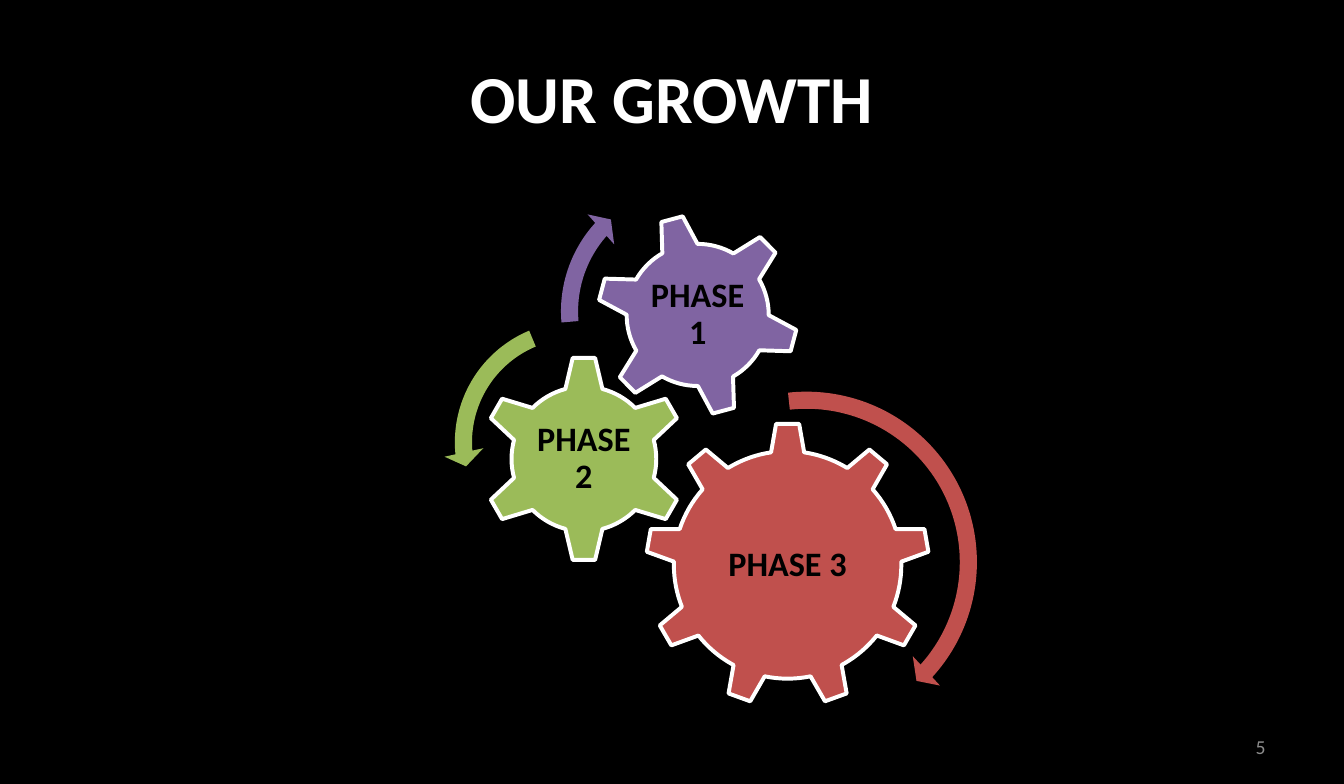
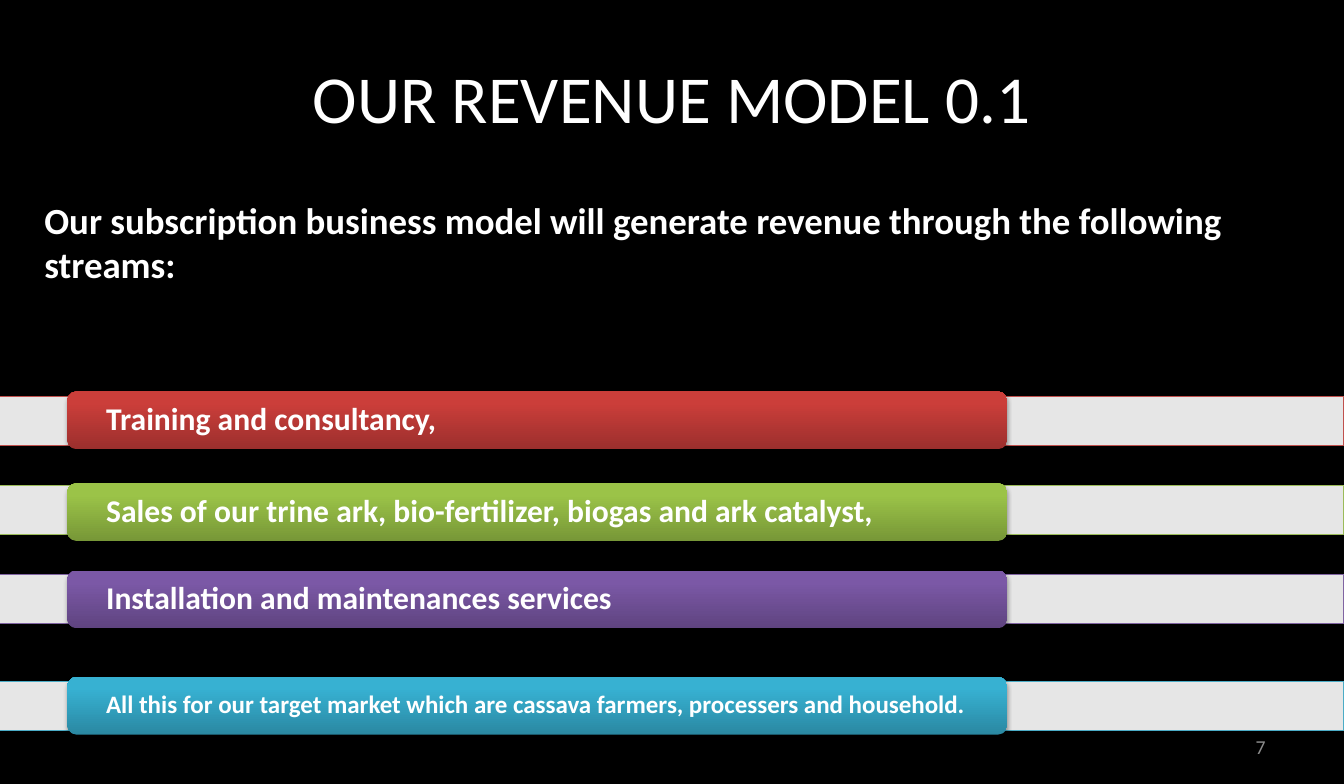
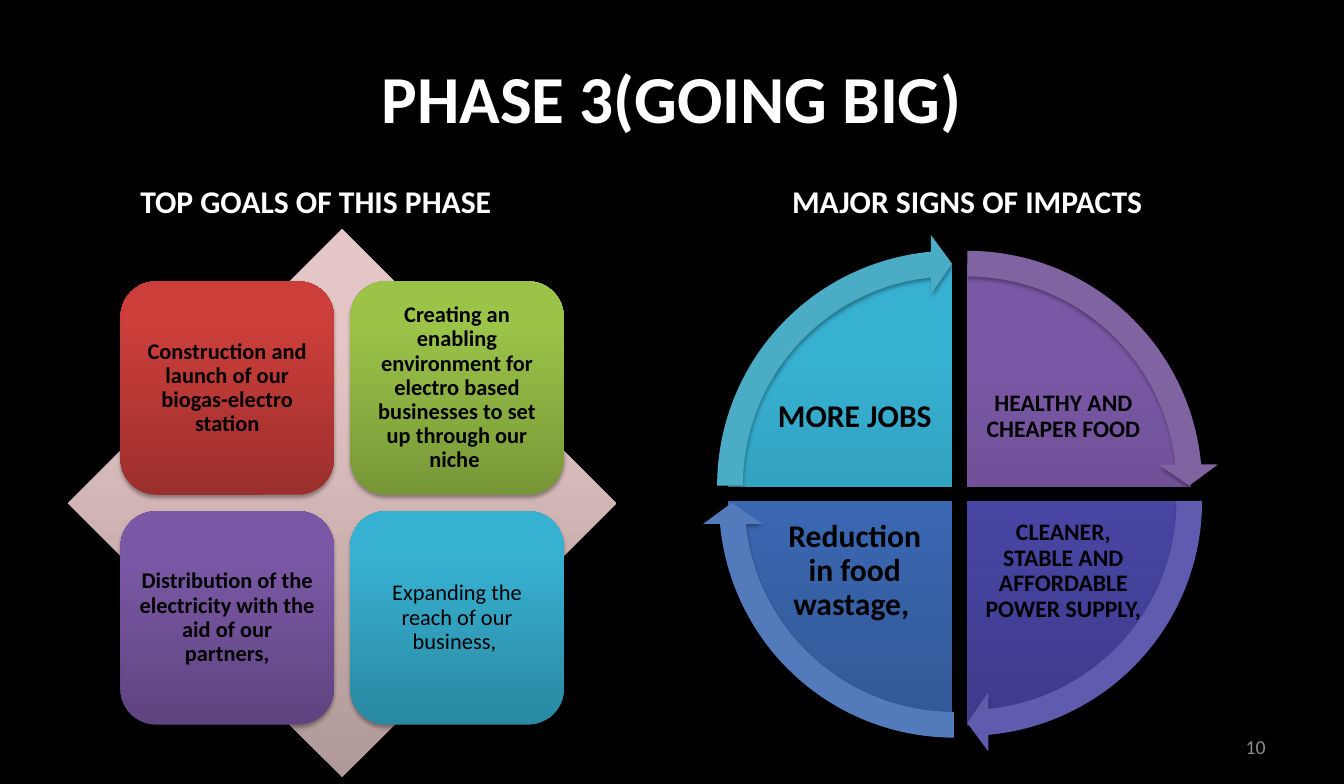
from dataclasses import dataclass

from lxml import etree
from pptx import Presentation
from pptx.dml.color import RGBColor
from pptx.enum import shapes, text
from pptx.oxml.ns import qn
from pptx.util import Cm, Pt

Shape = shapes.MSO_SHAPE
Align = text.PP_ALIGN
Anchor = text.MSO_ANCHOR


@dataclass(frozen=True)
class Theme:
    font: str = "Calibri"
    black: str = "000000"
    white: str = "FFFFFF"
    grey: str = "8C8C8C"
    red: str = "C0504D"
    green: str = "9BBB59"
    purple: str = "8064A2"
    teal: str = "4BACC6"
    indigo: str = "5F5BAE"
    blue: str = "537ABA"
    red_fade: tuple = ("9C2F2D", "CB3E3A")
    green_fade: tuple = ("779737", "9BC348")
    purple_fade: tuple = ("5F4480", "7B58A6")
    teal_fade: tuple = ("2A88A2", "37B1D2")
    indigo_fade: tuple = ("3E3B8B", "504CB5")
    blue_fade: tuple = ("325897", "4172C4")
    rose_fade: tuple = ("B09998", "E5C6C6")
    title: int = 51
    lead: int = 28
    phase: int = 26
    heading: int = 24
    note: int = 19
    impact: int = 18
    goal: int = 17
    page: int = 15


theme = Theme()


def paint(shape, fill, line=None, line_width=0.75, shadow=35):
    if isinstance(fill, tuple):
        shape.fill.gradient()
        shape.fill.gradient_angle = 90
        for stop, color, position in zip(shape.fill.gradient_stops, fill, (0, 0.8)):
            stop.color.rgb = RGBColor.from_string(color)
            stop.position = position
    else:
        shape.fill.solid()
        shape.fill.fore_color.rgb = RGBColor.from_string(fill)
    if line:
        shape.line.color.rgb = RGBColor.from_string(line)
        shape.line.width = Pt(line_width)
    else:
        shape.line.fill.background()
    shape.shadow.inherit = False
    if shadow:
        effects = shape.element.spPr.find(qn("a:effectLst"))
        outer = etree.SubElement(effects, qn("a:outerShdw"), blurRad=str(Pt(3.1)),
                                 dist=str(Pt(1.8)), dir="5400000", rotWithShape="0")
        shade = etree.SubElement(outer, qn("a:srgbClr"), val=theme.black)
        etree.SubElement(shade, qn("a:alpha"), val=str(shadow * 1000))


def write(shape, words, size, color, bold=True, align=Align.CENTER,
          anchor=Anchor.MIDDLE, inset=(0.3, 0.15), spacing=None):
    frame = shape.text_frame
    frame.text = words
    frame.word_wrap = True
    frame.auto_size = text.MSO_AUTO_SIZE.NONE
    frame.vertical_anchor = anchor
    frame.margin_left = frame.margin_right = Cm(inset[0])
    frame.margin_top = frame.margin_bottom = Cm(inset[1])
    paragraph = frame.paragraphs[0]
    paragraph.alignment = align
    paragraph.line_spacing = spacing
    font = paragraph.runs[0].font
    font.name = theme.font
    font.size = Pt(size)
    font.bold = bold
    font.color.rgb = RGBColor.from_string(color)


prs = Presentation()
prs.slide_width = Cm(36.02)
prs.slide_height = Cm(21.01)
backdrop = prs.slide_master.background.fill
backdrop.solid()
backdrop.fore_color.rgb = RGBColor.from_string(theme.black)

slides = []
for heading, bold, number in (
    ("OUR GROWTH", True, "5"),
    ("OUR REVENUE MODEL 0.1", False, "7"),
    ("PHASE 3(GOING BIG)", True, "10"),
):
    slide = prs.slides.add_slide(prs.slide_layouts[5])
    title = slide.shapes.title
    title.left, title.top, title.width, title.height = Cm(1.8), Cm(0.84), Cm(32.41), Cm(3.51)
    write(title, heading, theme.title, theme.white, bold)
    page = slide.shapes.add_textbox(Cm(25.81), Cm(19.46), Cm(8.41), Cm(1.12))
    write(page, number, theme.page, theme.grey, False, Align.RIGHT)
    slides.append(slide)
growth, revenue, going_big = slides

for phase, kind, left, top, size, label_size, turn, color in (
    ("PHASE 3", Shape.GEAR_9, 17.3, 11.33, 7.62, 4.55, 0, theme.red),
    ("PHASE 2", Shape.GEAR_6, 12.88, 9.53, 5.54, 2.74, 0, theme.green),
    ("PHASE 1", Shape.GEAR_6, 15.98, 5.72, 5.44, 3.05, 345, theme.purple),
):
    gear = growth.shapes.add_shape(kind, Cm(left), Cm(top), Cm(size), Cm(size))
    gear.rotation = turn
    paint(gear, color, theme.white, 3, 38)
    margin = (size - label_size) / 2
    label = growth.shapes.add_textbox(Cm(left + margin), Cm(top + margin),
                                      Cm(label_size), Cm(label_size))
    write(label, phase, theme.phase, theme.black, inset=(0.09, 0.09), spacing=0.9)

for kind, left, top, size, bends, color in (
    (Shape.CIRCULAR_ARROW, 16.74, 10.19, 9.75,
     (0.047, 2.99, 25.324, 158.268, 0.055), theme.red),
    (Shape.LEFT_CIRCULAR_ARROW, 11.89, 8.31, 7.09,
     (0.065, 4.3, 104.891, 148.378, 0.075), theme.green),
    (Shape.CIRCULAR_ARROW, 14.73, 4.52, 7.65,
     (0.06, 3.941, 133.138, 105.082, 0.07), theme.purple),
):
    rotation = growth.shapes.add_shape(kind, Cm(left), Cm(top), Cm(size), Cm(size))
    for index, bend in enumerate(bends):
        rotation.adjustments[index] = bend
    paint(rotation, color, shadow=38)

lead = revenue.shapes.add_textbox(Cm(0.94), Cm(5.16), Cm(34.47), Cm(2.64))
write(lead, "Our subscription business model will generate revenue through the following streams:",
      theme.lead, theme.white, align=Align.LEFT, anchor=Anchor.TOP, inset=(0.25, 0.13))

for stream, band_top, bar_top, size, color, fade in (
    ("Training and consultancy,", 10.62, 10.49, theme.heading, theme.red, theme.red_fade),
    ("Sales of our trine ark, bio-fertilizer, biogas and ark catalyst,",
     13, 12.95, theme.heading, theme.green, theme.green_fade),
    ("Installation and maintenances services",
     15.39, 15.29, theme.heading, theme.purple, theme.purple_fade),
    ("All this for our target market which are cassava farmers, processers and household.",
     18.26, 18.14, theme.note, theme.teal, theme.teal_fade),
):
    band = revenue.shapes.add_shape(Shape.RECTANGLE, 0, Cm(band_top), prs.slide_width, Cm(1.32))
    paint(band, theme.white, color)
    tint = band.element.spPr.find(qn("a:solidFill")).find(qn("a:srgbClr"))
    etree.SubElement(tint, qn("a:alpha"), val="90000")
    bar = revenue.shapes.add_shape(Shape.ROUNDED_RECTANGLE, Cm(1.8), Cm(bar_top),
                                   Cm(25.2), Cm(1.55))
    paint(bar, fade)
    write(bar, stream, size, theme.white, align=Align.LEFT, inset=(0.97, 0), spacing=0.9)

diamond = going_big.shapes.add_shape(Shape.DIAMOND, Cm(1.83), Cm(6.15), Cm(14.68), Cm(14.68))
paint(diamond, theme.rose_fade, shadow=0)

for index, (goal, bold, fade) in enumerate((
    ("Construction and launch of our biogas-electro station", True, theme.red_fade),
    ("Creating an enabling environment for electro based businesses to set up through our niche ",
     True, theme.green_fade),
    ("Distribution of the electricity with the aid of our partners,", True, theme.purple_fade),
    ("Expanding the reach of our business, ", False, theme.teal_fade),
)):
    row, column = divmod(index, 2)
    tile = going_big.shapes.add_shape(Shape.ROUNDED_RECTANGLE, Cm(3.23 + 6.16 * column),
                                      Cm(7.54 + 6.16 * row), Cm(5.72), Cm(5.72))
    paint(tile, fade)
    write(tile, goal, theme.goal, theme.black, bold, inset=(0.18, 0.18), spacing=0.9)

full_turn, quarter, head = 216, 54, 3.275
impacts = (
    ("HEALTHY AND CHEAPER FOOD", theme.impact, 1, 0, theme.purple_fade,
     19.18, 6.27, theme.purple),
    ("CLEANER, STABLE AND AFFORDABLE POWER SUPPLY,", theme.impact, 1, 1, theme.indigo_fade,
     19.18, 6.68, theme.indigo),
    ("Reduction in food wastage, ", theme.heading, 0, 1, theme.blue_fade,
     18.82, 6.73, theme.blue),
    ("MORE JOBS", theme.heading, 0, 0, theme.teal_fade,
     18.77, 6.27, theme.teal),
)
starts = [(162 + quarter * index) % full_turn for index in range(4)]

for start, (impact, size, column, row, fade, *_) in zip(starts, impacts):
    wedge = going_big.shapes.add_shape(Shape.PIE, Cm(19.51 + 0.4 * column),
                                       Cm(7.04 + 0.4 * row), Cm(12.01), Cm(12.01))
    wedge.adjustments[0] = start
    wedge.adjustments[1] = (start + quarter) % full_turn
    paint(wedge, fade)
    label = going_big.shapes.add_textbox(Cm(20.7 + 5.59 * column), Cm(9.53 + 4.14 * row),
                                         Cm(4.42), Cm(3.28))
    write(label, impact, size, theme.black, inset=(0.08, 0.08), spacing=0.9)

for start, (*_, left, top, color) in zip(starts, impacts):
    cycle = going_big.shapes.add_shape(Shape.CIRCULAR_ARROW, Cm(left), Cm(top),
                                       Cm(13.49), Cm(13.49))
    tip = (start + quarter - head) % full_turn
    for index, bend in enumerate((0.051, head, tip, start, 0.059)):
        cycle.adjustments[index] = bend
    paint(cycle, color)

for caption, left, width in (
    ("MAJOR SIGNS OF IMPACTS", 20.98, 11.13),
    ("TOP GOALS OF THIS PHASE", 3.51, 11.51),
):
    column_heading = going_big.shapes.add_textbox(Cm(left), Cm(4.75), Cm(width), Cm(1.27))
    write(column_heading, caption, theme.heading, theme.white, align=Align.LEFT,
          anchor=Anchor.TOP, inset=(0.25, 0.13))

prs.save("out.pptx")
